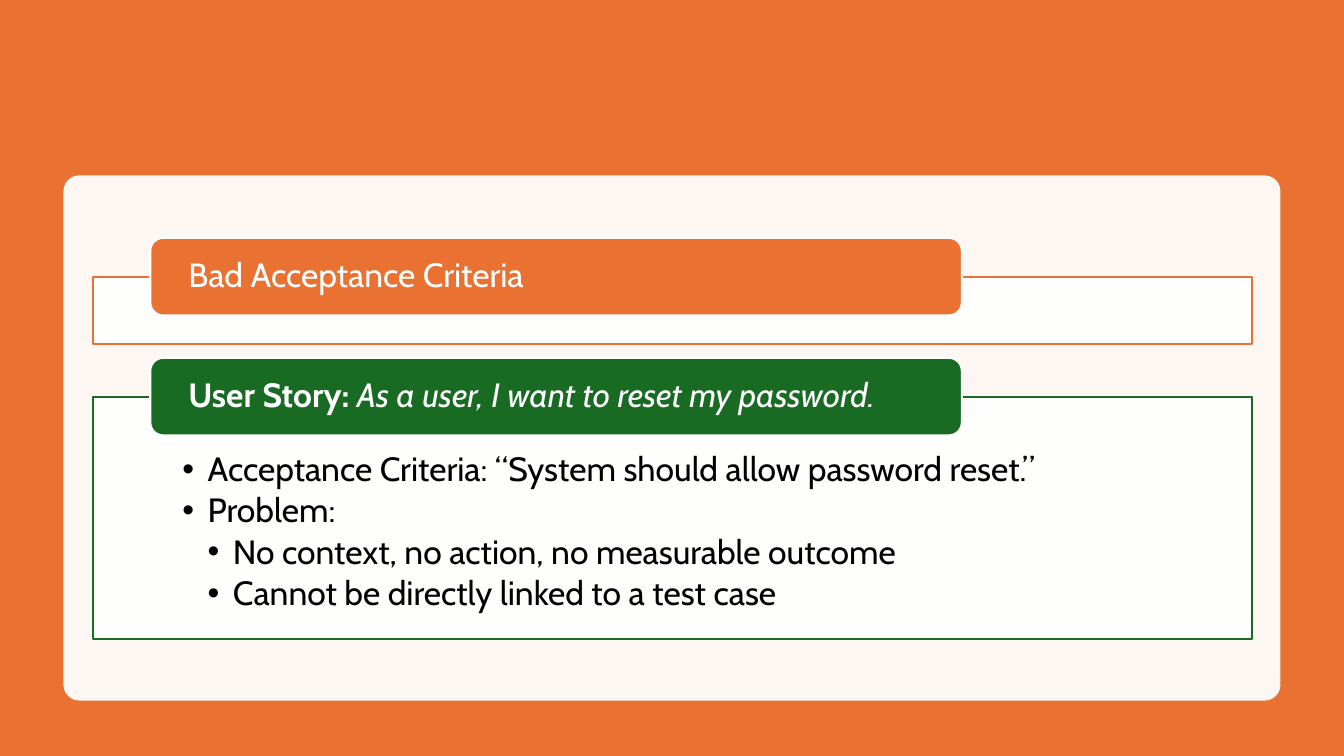
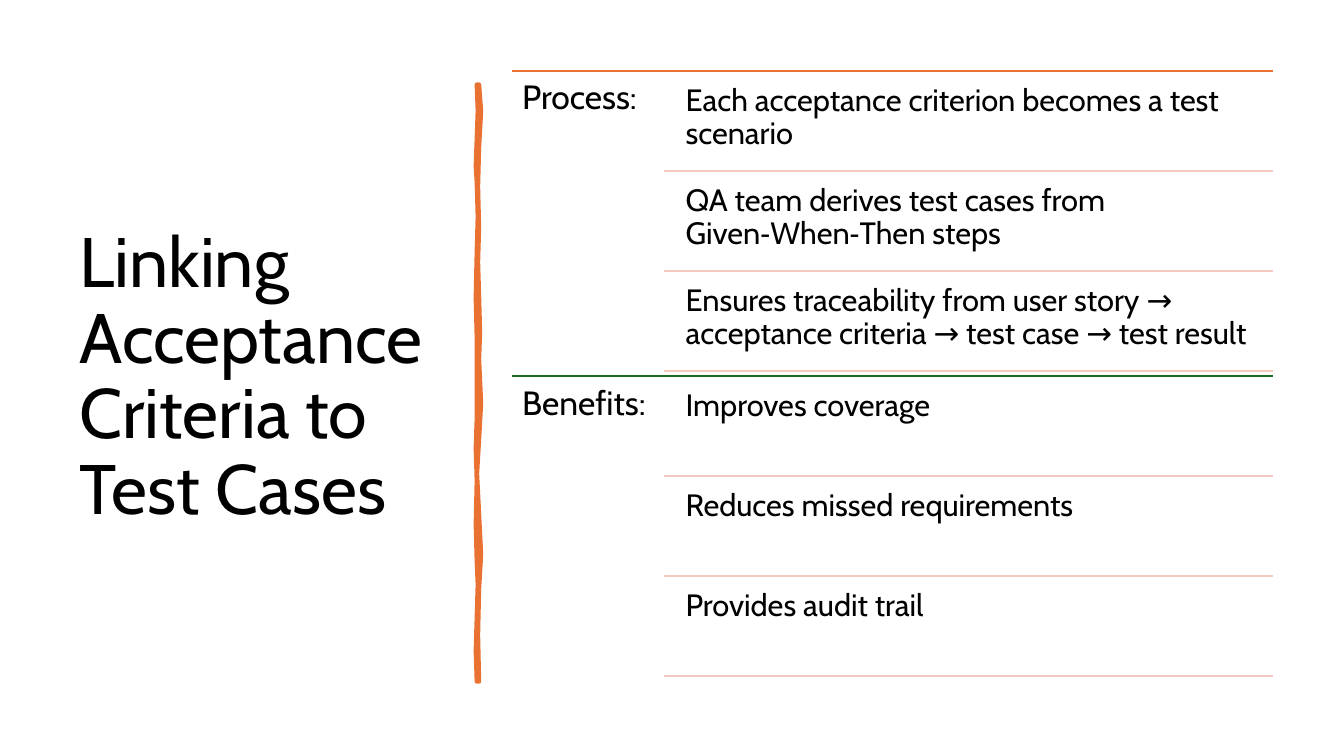
from lxml import etree
from pptx import Presentation
from pptx.dml.color import RGBColor
from pptx.enum.shapes import MSO_CONNECTOR, MSO_SHAPE
from pptx.enum.text import MSO_ANCHOR, MSO_AUTO_SIZE, PP_ALIGN
from pptx.oxml.ns import qn
from pptx.util import Inches, Pt

RECT, ROUND_RECT = MSO_SHAPE.RECTANGLE, MSO_SHAPE.ROUNDED_RECTANGLE
STRAIGHT = MSO_CONNECTOR.STRAIGHT
TOP, MIDDLE = MSO_ANCHOR.TOP, MSO_ANCHOR.MIDDLE
LEFT = PP_ALIGN.LEFT
NO_AUTOFIT = MSO_AUTO_SIZE.NONE

ORANGE = RGBColor(0xE9, 0x71, 0x32)
GREEN = RGBColor(0x19, 0x6B, 0x24)
PINK = RGBColor(0xF4, 0xC9, 0xBF)
WHITE = RGBColor(0xFF, 0xFF, 0xFF)
BLACK = RGBColor(0, 0, 0)

FONT = "Cabin"
SLIDE_W, SLIDE_H = 13.33, 7.5
LINE_W = 1.5
BULLET_INDENT = 0.25

BRUSH_RIGHT = [
    (0.04, 0), (0.06, 0.26), (0.04, 0.62), (0.03, 1.01), (0.04, 1.42),
    (0.03, 1.76), (0.04, 2.1), (0.05, 2.46), (0.04, 2.72), (0.06, 3.16),
    (0.04, 3.52), (0.02, 3.86), (0.04, 4.26), (0.06, 4.66), (0.04, 5),
    (0.03, 5.46), (0.04, 5.92),
]
BRUSH_LEFT = [
    (0.02, 5.92), (0.01, 5.61), (0.02, 5.29), (0.03, 4.96), (0.02, 4.73),
    (0.01, 4.36), (0.02, 3.93), (0.01, 3.61), (0.02, 3.31), (0.02, 2.51),
    (0.01, 2.11), (0.02, 1.66), (0.03, 1.31), (0.02, 0.97), (0.01, 0.81),
    (0.03, 0.26), (0.02, 0),
]


def set_attrs(obj, **values):
    for name, value in values.items():
        setattr(obj, name, value)


def set_frame(tf, anchor, insets):
    left, top, right, bottom = map(Inches, insets)
    set_attrs(tf, word_wrap=True, auto_size=NO_AUTOFIT, vertical_anchor=anchor,
              margin_left=left, margin_top=top, margin_right=right, margin_bottom=bottom)


def add_bullet(p, level):
    p.level = level
    pPr = p._p.get_or_add_pPr()
    pPr.set("marL", str(Inches(BULLET_INDENT * level)))
    pPr.set("indent", str(-Inches(BULLET_INDENT)))
    etree.SubElement(pPr, qn("a:buFont")).set("typeface", "Arial")
    etree.SubElement(pPr, qn("a:buChar")).set("char", "•")


def add_runs(p, runs, size, color, space_after=0):
    set_attrs(p, alignment=LEFT, line_spacing=0.9, space_after=Pt(space_after))
    for text, style in runs:
        r = p.add_run()
        r.text = text
        set_attrs(r.font, name=FONT, size=Pt(size), **style)
        r.font.color.rgb = color


def add_box(slide, kind, box, fill, line=None, opacity=100):
    sp = slide.shapes.add_shape(kind, *map(Inches, box))
    sp.shadow.inherit = False
    sp.fill.solid()
    sp.fill.fore_color.rgb = fill
    if opacity < 100:
        clr = sp._element.spPr.find(qn("a:solidFill")).find(qn("a:srgbClr"))
        etree.SubElement(clr, qn("a:alpha")).set("val", str(opacity * 1000))
    if line is None:
        sp.line.fill.background()
    else:
        sp.line.color.rgb = line
        sp.line.width = Pt(LINE_W)
    return sp


def add_rule(slide, left, right, y, color):
    ln = slide.shapes.add_connector(STRAIGHT, *map(Inches, (left, y, right, y)))
    ln.line.color.rgb = color
    ln.line.width = Pt(LINE_W)
    etree.SubElement(ln._element.spPr, qn("a:effectLst"))


def add_text(slide, box, text, size, inset):
    tf = slide.shapes.add_textbox(*map(Inches, box)).text_frame
    set_frame(tf, TOP, [inset] * 4)
    add_runs(tf.paragraphs[0], [(text, {})], size, BLACK)


def add_criteria_block(slide, box, color, heading, bullets=()):
    left, top, width, height = box
    tf = add_box(slide, RECT, box, WHITE, color, 90).text_frame
    set_frame(tf, TOP, (0.89, 0.55, 0.89, 0.19))
    for i, (level, text) in enumerate(bullets):
        p = tf.add_paragraph() if i else tf.paragraphs[0]
        add_bullet(p, level)
        add_runs(p, [(text, {})], 24, BLACK, 3.6)
    tab = add_box(slide, ROUND_RECT, (left + 0.57, top - 0.39, width * 0.7, 0.77), color, WHITE)
    set_frame(tab.text_frame, MIDDLE, (0.34, 0, 0.34, 0))
    add_runs(tab.text_frame.paragraphs[0], heading, 24, WHITE)


def add_title(slide, box, text):
    title = slide.shapes.title
    left, top, width, height = map(Inches, box)
    set_attrs(title, left=left, top=top, width=width, height=height)
    set_frame(title.text_frame, MIDDLE, (0.1, 0.05, 0.1, 0.05))
    add_runs(title.text_frame.paragraphs[0], [(text, {})], 50, BLACK)


def add_brush_stroke(slide, left, top):
    points = [(Inches(left + x), Inches(top + y)) for x, y in BRUSH_RIGHT + BRUSH_LEFT]
    fb = slide.shapes.build_freeform(*points[0])
    fb.add_line_segments(points[1:], close=True)
    sp = fb.convert_to_shape()
    sp.shadow.inherit = False
    sp.fill.solid()
    sp.fill.fore_color.rgb = ORANGE
    sp.line.color.rgb = ORANGE
    sp.line.width = Pt(3.25)
    etree.SubElement(sp.line._get_or_add_ln(), qn("a:round"))


def add_section(slide, box, color, label, items):
    left, top, width, height = box
    right = left + width
    label_w, gap, pad = 1.51, 0.12, 0.05
    items_left = left + label_w
    text_left = items_left + gap
    pitch = (height - pad) / len(items)
    add_rule(slide, left, right, top, color)
    add_text(slide, (left, top, label_w, height), label, 24, 0.1)
    for i, item in enumerate(items):
        y = top + pitch * i
        add_text(slide, (text_left, y + pad, right - text_left, pitch - pad), item, 22, 0.09)
        add_rule(slide, items_left, right, y + pitch, PINK)


def build_criteria_slide(prs):
    slide = prs.slides.add_slide(prs.slide_layouts[6])
    add_box(slide, RECT, (0, 0, SLIDE_W, SLIDE_H), ORANGE)
    panel = add_box(slide, ROUND_RECT, (0.63, 1.74, 12.07, 5.21), WHITE, opacity=95)
    panel.adjustments[0] = 0.03
    add_criteria_block(slide, (0.92, 2.75, 11.5, 0.66), ORANGE,
                       [("Bad Acceptance Criteria", {})])
    add_criteria_block(
        slide, (0.92, 3.94, 11.5, 2.4), GREEN,
        [("User Story: ", {"bold": True}),
         ("As a user, I want to reset my password.", {"italic": True})],
        [(1, "Acceptance Criteria: “System should allow password reset.”"),
         (1, "Problem:"),
         (2, "No context, no action, no measurable outcome"),
         (2, "Cannot be directly linked to a test case")])


def build_linking_slide(prs):
    slide = prs.slides.add_slide(prs.slide_layouts[5])
    add_title(slide, (0.69, 0.7, 3.74, 6.11), "Linking Acceptance Criteria to Test Cases")
    add_brush_stroke(slide, 4.71, 0.84)
    sections = [
        (ORANGE, "Process:", [
            "Each acceptance criterion becomes a test scenario",
            "QA team derives test cases from Given‑When‑Then steps",
            "Ensures traceability from user story → acceptance criteria → test case → test result",
        ]),
        (GREEN, "Benefits:", [
            "Improves coverage",
            "Reduces missed requirements",
            "Provides audit trail",
        ]),
    ]
    height = 3.03
    for i, section in enumerate(sections):
        add_section(slide, (5.08, 0.7 + height * i, 7.55, height), *section)


def main():
    prs = Presentation()
    prs.slide_width, prs.slide_height = Inches(SLIDE_W), Inches(SLIDE_H)
    build_criteria_slide(prs)
    build_linking_slide(prs)
    prs.save("out.pptx")


if __name__ == "__main__":
    main()
